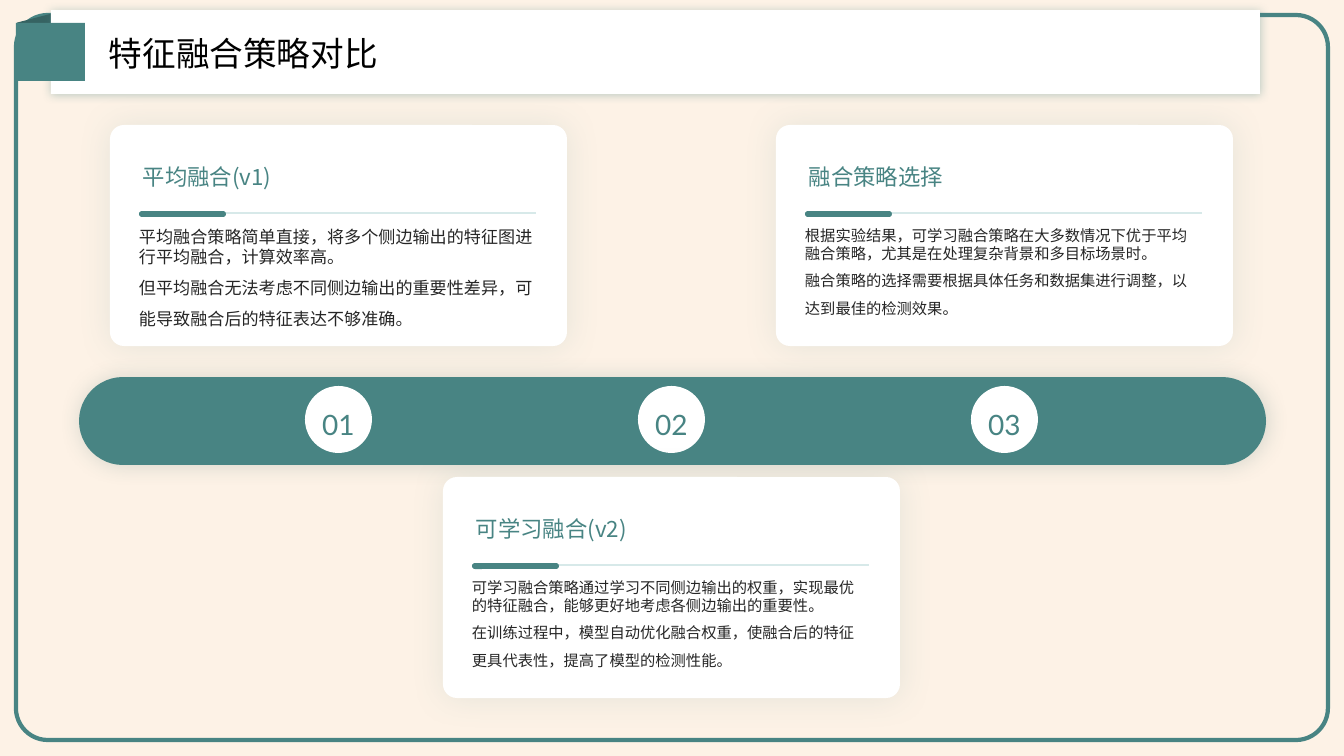
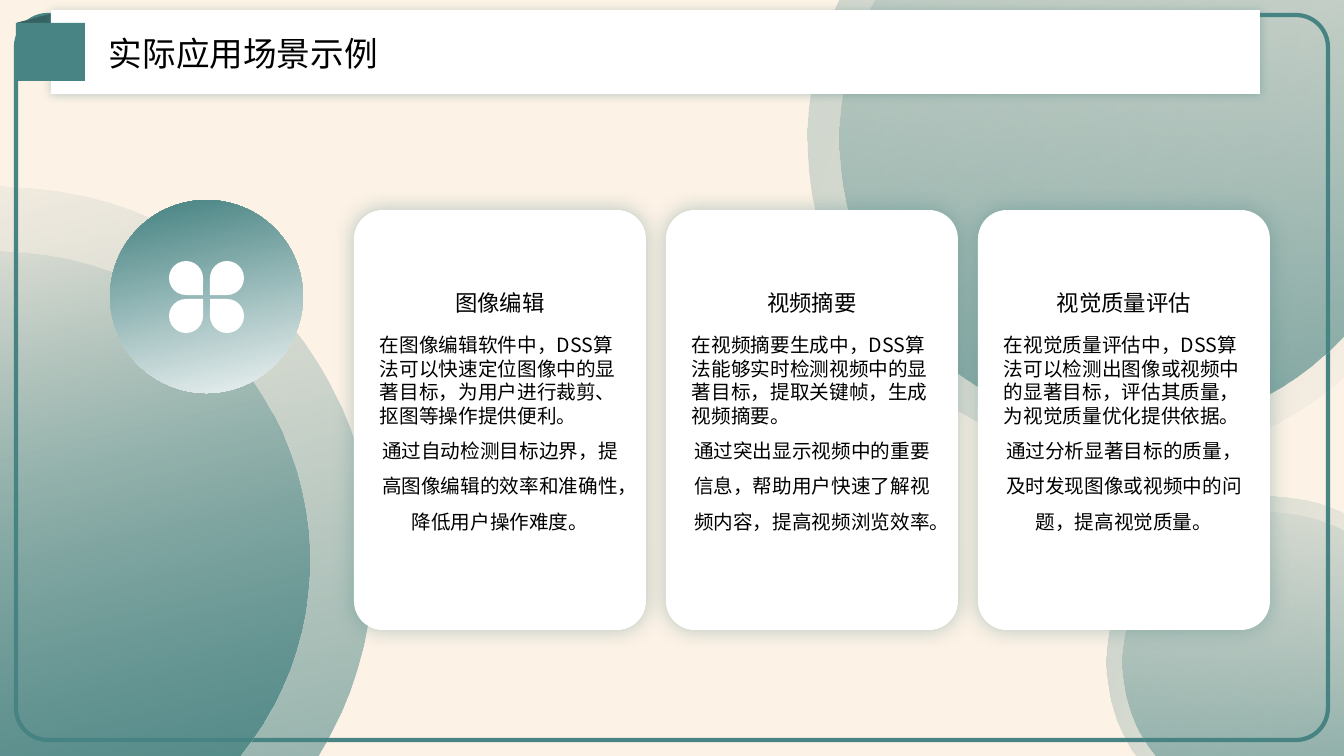
import pptx
import pptx.dml.color
import pptx.enum.shapes
import pptx.enum.text
import pptx.oxml
import pptx.oxml.ns
import pptx.util
from lxml import etree

SHAPE = pptx.enum.shapes.MSO_SHAPE
ALIGN = pptx.enum.text.PP_ALIGN
ANCHOR = pptx.enum.text.MSO_ANCHOR
Pt = pptx.util.Pt

EMU_PER_PX = 12192000 / 1344
TEAL, DARK_TEAL, PALE_TEAL = "488483", "366362", "D7E9E9"
WHITE, BLACK, INK, CREAM = "FFFFFF", "000000", "262626", "FCE5CB"
CJK, LATIN = "Noto Sans CJK SC", "Lato"


def px(value):
    return pptx.util.Emu(round(value * EMU_PER_PX))


def rgb(value):
    return pptx.dml.color.RGBColor.from_string(value)


def put(target, **values):
    """Set each given attribute on the target."""
    for name, value in values.items():
        setattr(target, name, value)


def color_xml(value, alpha=100):
    return f'<a:srgbClr val="{value}"><a:alpha val="{alpha * 1000}"/></a:srgbClr>'


def drawing_xml(text):
    namespace = pptx.oxml.ns.nsdecls("a")
    return pptx.oxml.parse_xml(text.replace(">", f" {namespace}>", 1))


class Deck:
    def __init__(self):
        self.deck = pptx.Presentation()
        put(self.deck, slide_width=px(1344), slide_height=px(756))
        self.page = None

    def start_page(self):
        self.page = self.deck.slides.add_slide(self.deck.slide_layouts[6])
        self.shape(SHAPE.RECTANGLE, 0, 0, 1344, 756, CREAM, alpha=48)
        frame = self.shape(SHAPE.ROUNDED_RECTANGLE, 16, 15, 1312, 725, None, 0.044)
        frame.line.color.rgb = rgb(TEAL)
        frame.line.width = Pt(3)

    def shape(self, kind, left, top, width, height, fill, corner=None,
              alpha=100, rotation=0, shadow=None):
        """Draw a preset shape; shadow is (opacity percent, blur in points, colour)."""
        shape = self.page.shapes.add_shape(kind, px(left), px(top), px(width), px(height))
        shape.shadow.inherit = False
        shape.rotation = rotation
        shape.line.fill.background()
        if corner is not None:
            shape.adjustments[0] = corner
        if fill is None:
            shape.fill.background()
        else:
            shape.fill.solid()
            shape.fill.fore_color.rgb = rgb(fill)
        if alpha < 100:
            color = shape._element.spPr.find(".//" + pptx.oxml.ns.qn("a:srgbClr"))
            etree.SubElement(color, pptx.oxml.ns.qn("a:alpha"), val=str(alpha * 1000))
        if shadow:
            opacity, blur, color = shadow
            effects = shape._element.spPr.find(pptx.oxml.ns.qn("a:effectLst"))
            effects.append(drawing_xml(
                f'<a:outerShdw blurRad="{Pt(blur)}" dist="0" dir="0" algn="ctr" '
                f'rotWithShape="0">{color_xml(color, opacity)}</a:outerShdw>'))
        return shape

    def gradient_circle(self, left, top, size, stops, rotation=167):
        """Draw a circle with stops of (position percent, colour, opacity percent)."""
        circle = self.shape(SHAPE.OVAL, left, top, size, size, WHITE, rotation=rotation)
        stops_xml = "".join(f'<a:gs pos="{position * 1000}">{color_xml(color, alpha)}</a:gs>'
                            for position, color, alpha in stops)
        properties = circle._element.spPr
        solid = properties.find(pptx.oxml.ns.qn("a:solidFill"))
        properties.replace(solid, drawing_xml(
            f'<a:gradFill rotWithShape="1"><a:gsLst>{stops_xml}</a:gsLst>'
            '<a:lin ang="5400000" scaled="0"/></a:gradFill>'))
        return circle

    def rule(self, left, right, y, color):
        line = self.page.shapes.add_connector(
            pptx.enum.shapes.MSO_CONNECTOR.STRAIGHT, px(left), px(y), px(right), px(y))
        line.line.color.rgb = rgb(color)
        line.line.width = Pt(1.5)
        etree.SubElement(line._element.spPr, pptx.oxml.ns.qn("a:effectLst"))

    def set_text(self, box, lines, size, color, font=CJK, anchor=ANCHOR.MIDDLE):
        """Fill a shape with lines of (text, line spacing, alignment)."""
        frame = box.text_frame
        put(frame, word_wrap=True, vertical_anchor=anchor, margin_left=0,
            margin_right=0, margin_top=0, margin_bottom=0)
        for index, (text, spacing, align) in enumerate(lines):
            para = frame.add_paragraph() if index else frame.paragraphs[0]
            put(para, line_spacing=spacing, alignment=align)
            span = para.add_run()
            span.text = text
            put(span.font, size=Pt(size), name=font)
            span.font.color.rgb = rgb(color)
            for tag in ("a:ea", "a:cs"):
                etree.SubElement(span.font._element, pptx.oxml.ns.qn(tag), typeface=font)

    def text(self, left, top, width, height, lines, size, color, anchor=ANCHOR.MIDDLE):
        box = self.page.shapes.add_textbox(px(left), px(top), px(width), px(height))
        self.set_text(box, lines, size, color, anchor=anchor)

    def body(self, left, top, width, height, texts, size, color, last_align):
        """Add a tight opening paragraph and a looser closing one."""
        opening, closing = texts
        lines = [(opening, Pt(size * 1.2), ALIGN.LEFT),
                 (closing, Pt(size * 1.8), last_align)]
        self.text(left, top, width, height, lines, size, color, ANCHOR.TOP)

    def title(self, text):
        self.shape(SHAPE.RECTANGLE, 22, 16, 47, 47, DARK_TEAL, rotation=345.4)
        self.shape(SHAPE.RECTANGLE, 51, 10, 1209, 84, WHITE, shadow=(36, 7, TEAL))
        self.text(109, 24, 858, 54, [(text, 1.1, ALIGN.LEFT)], 24, BLACK)
        self.shape(SHAPE.RECTANGLE, 16, 23, 69, 58, TEAL)

    def strategy_card(self, left, top, heading, texts, size):
        self.shape(SHAPE.ROUNDED_RECTANGLE, left, top, 457, 221, WHITE, 0.063,
                   shadow=(13, 24, TEAL))
        self.text(left + 33, top + 12, 392, 71, [(heading, 1.3, ALIGN.LEFT)], 16, TEAL)
        self.body(left + 29, top + 101, 397, 102, texts, size, INK, ALIGN.LEFT)
        self.rule(left + 29, left + 426, top + 88, PALE_TEAL)
        self.shape(SHAPE.ROUNDED_RECTANGLE, left + 29, top + 86, 87, 6, TEAL, 0.5)

    def number_badge(self, left, top, number):
        badge = self.shape(SHAPE.OVAL, left, top, 67, 67, WHITE)
        self.set_text(badge, [(f"{number:02}", 1.3, ALIGN.CENTER)], 20, TEAL, LATIN)

    def scenario_card(self, left, top, heading, texts):
        self.shape(SHAPE.ROUNDED_RECTANGLE, left, top, 292, 420, WHITE, 0.099,
                   shadow=(40, 15, TEAL))
        self.text(left + 26, top + 34, 240, 72, [(heading, 1.3, ALIGN.CENTER)],
                  16, BLACK, ANCHOR.BOTTOM)
        self.body(left + 26, top + 123, 240, 269, texts, 14, BLACK, ALIGN.CENTER)

    def clover(self, left, top):
        """Draw four petals whose points meet in the middle."""
        for column, row, rotation in ((0, 0, 90), (1, 0, 180), (1, 1, 270), (0, 1, 0)):
            self.shape(SHAPE.TEAR, left + 41 * column, top + 38 * row, 34, 34, WHITE,
                       rotation=rotation)


STRATEGIES = [
    ("平均融合(v1)", 12.2,
     ("平均融合策略简单直接，将多个侧边输出的特征图进行平均融合，计算效率高。",
      "但平均融合无法考虑不同侧边输出的重要性差异，可能导致融合后的特征表达不够准确。")),
    ("可学习融合(v2)", 10.9,
     ("可学习融合策略通过学习不同侧边输出的权重，实现最优的特征融合，能够更好地考虑各侧边输出的重要性。",
      "在训练过程中，模型自动优化融合权重，使融合后的特征更具代表性，提高了模型的检测性能。")),
    ("融合策略选择", 10.9,
     ("根据实验结果，可学习融合策略在大多数情况下优于平均融合策略，尤其是在处理复杂背景和多目标场景时。",
      "融合策略的选择需要根据具体任务和数据集进行调整，以达到最佳的检测效果。")),
]

SCENARIOS = [
    ("图像编辑",
     ("在图像编辑软件中，DSS算法可以快速定位图像中的显著目标，为用户进行裁剪、抠图等操作提供便利。",
      "通过自动检测目标边界，提高图像编辑的效率和准确性，降低用户操作难度。")),
    ("视频摘要",
     ("在视频摘要生成中，DSS算法能够实时检测视频中的显著目标，提取关键帧，生成视频摘要。",
      "通过突出显示视频中的重要信息，帮助用户快速了解视频内容，提高视频浏览效率。")),
    ("视觉质量评估",
     ("在视觉质量评估中，DSS算法可以检测出图像或视频中的显著目标，评估其质量，为视觉质量优化提供依据。",
      "通过分析显著目标的质量，及时发现图像或视频中的问题，提高视觉质量。")),
]


def build_strategies(deck):
    deck.start_page()
    deck.shape(SHAPE.ROUNDED_RECTANGLE, 79, 377, 1187, 88, TEAL, 0.5,
               shadow=(20, 15, DARK_TEAL))
    for index, (heading, size, texts) in enumerate(STRATEGIES):
        deck.number_badge(305 + 333 * index, 386, index + 1)
        deck.strategy_card(110 + 333 * index, 125 + 352 * (index % 2), heading, texts, size)
    deck.title("特征融合策略对比")


def build_scenarios(deck):
    def fade(alpha):
        return [(0, TEAL, alpha), (100, TEAL, 0)]

    deck.start_page()
    deck.gradient_circle(-372, 187, 745, fade(70))
    deck.gradient_circle(-308, 252, 617, fade(100))
    deck.gradient_circle(110, 200, 193, [(0, WHITE, 100), (89, TEAL, 100)])
    deck.clover(169, 261)
    deck.gradient_circle(808, -181, 641, fade(28), 286.6)
    deck.gradient_circle(839, -151, 581, fade(70))
    corner_circles = [deck.gradient_circle(1107, 497, 330, fade(28), 286.6),
                      deck.gradient_circle(1122, 513, 299, fade(70))]
    deck.page.shapes.add_group_shape(corner_circles)
    for index, (heading, texts) in enumerate(SCENARIOS):
        deck.scenario_card(354 + 312 * index, 210, heading, texts)
    deck.title("实际应用场景示例")


def main():
    deck = Deck()
    build_strategies(deck)
    build_scenarios(deck)
    deck.deck.save("out.pptx")


if __name__ == "__main__":
    main()
